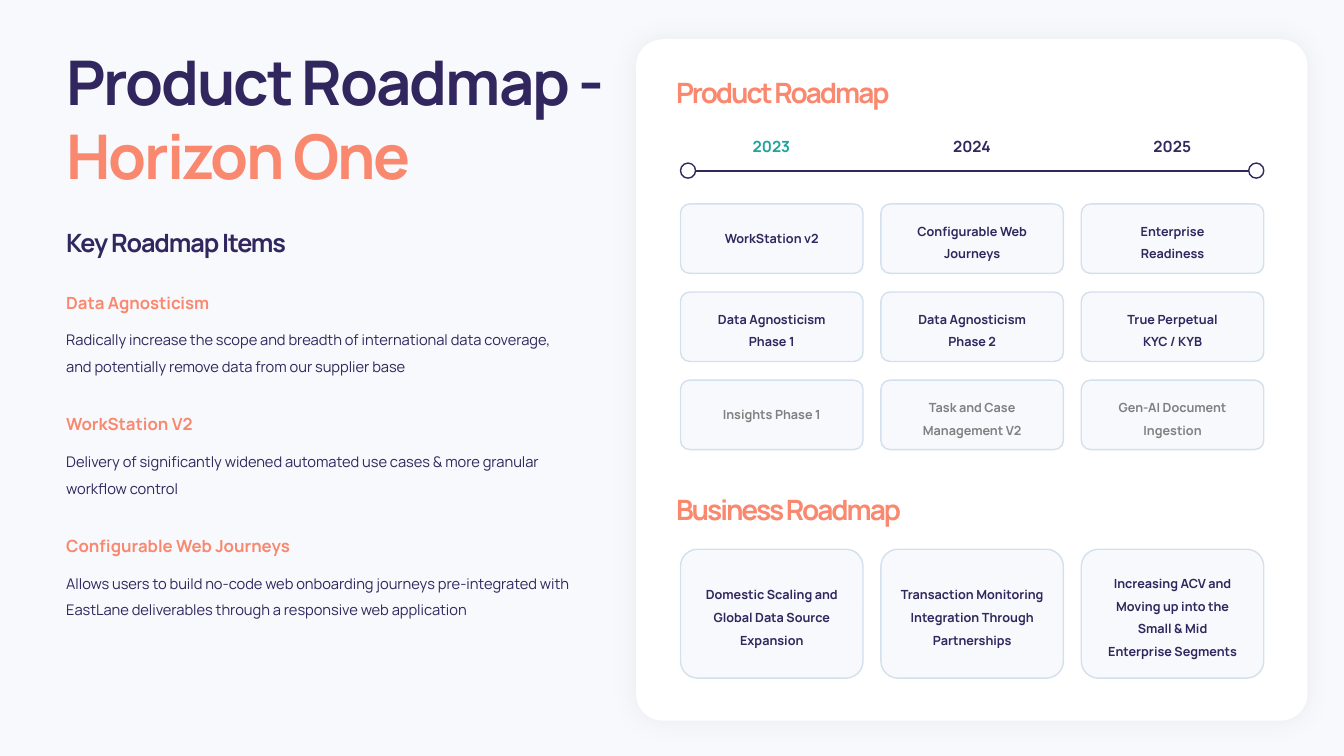
from lxml import etree
from pptx import Presentation
from pptx.dml.color import RGBColor
from pptx.enum.shapes import MSO_CONNECTOR as Connector, MSO_SHAPE as Shape
from pptx.enum.text import MSO_ANCHOR as Anchor, MSO_AUTO_SIZE as AutoSize, PP_ALIGN as Align
from pptx.oxml import parse_xml
from pptx.oxml.ns import nsdecls, qn
from pptx.util import Cm, Pt

FONT = "Manrope"
NAVY = RGBColor(0x31, 0x26, 0x5E)
CORAL = RGBColor(0xF9, 0x88, 0x6F)
TEAL = RGBColor(0x1B, 0xA4, 0x9B)
GREY = RGBColor(0x80, 0x80, 0x80)
PALE = RGBColor(0xF7, 0xF9, 0xFC)
BORDER = RGBColor(0xD3, 0xE0, 0xED)
WHITE = RGBColor(0xFF, 0xFF, 0xFF)

KEY_ITEMS = [
    ("Data Agnosticism", 4.17, 13.41,
     "Radically increase the scope and breadth of international data coverage, "
     "and potentially remove data from our supplier base"),
    ("WorkStation V2", 3.71, 13.23,
     "Delivery of significantly widened automated use cases & more granular workflow control"),
    ("Configurable Web Journeys", 6.25, 13.23,
     "Allows users to build no-code web onboarding journeys pre-integrated with "
     "EastLane deliverables through a responsive web application"),
]
YEARS = [("2023", TEAL), ("2024", NAVY), ("2025", NAVY)]
PRODUCT_ROWS = [
    (NAVY, ["WorkStation v2", "Configurable Web\nJourneys", "Enterprise\nReadiness"]),
    (NAVY, ["Data Agnosticism\nPhase 1", "Data Agnosticism\nPhase 2", "True Perpetual\nKYC / KYB"]),
    (GREY, ["Insights Phase 1", "Task and Case\nManagement V2", "Gen-AI Document\nIngestion"]),
]
BUSINESS_ROW = [
    "Domestic Scaling and\nGlobal Data Source\nExpansion",
    "Transaction Monitoring\nIntegration Through\nPartnerships",
    "Increasing ACV and\nMoving up into the\nSmall & Mid\nEnterprise Segments",
]
CARD_WIDTH, CARD_PITCH = 4.6, 5.05


def format_para(para, size, color, bold=True, spacing=0):
    for span in para.runs:
        span.font.name, span.font.size, span.font.bold = FONT, Pt(size), bold
        span.font.color.rgb = color
        if spacing:
            span._r.get_or_add_rPr().set("spc", str(int(spacing * 100)))


def add_text(page, left, top, width, height, text, size, color, spacing=0, bold=True, wrap=False):
    box = page.shapes.add_textbox(Cm(left), Cm(top), Cm(width), Cm(height))
    frame = box.text_frame
    frame.text = text
    frame.word_wrap = wrap
    frame.auto_size = AutoSize.SHAPE_TO_FIT_TEXT
    for para in frame.paragraphs:
        format_para(para, size, color, bold, spacing)
    return frame


def add_filled(page, kind, left, top, width, height, fill, line=None):
    shape = page.shapes.add_shape(kind, Cm(left), Cm(top), Cm(width), Cm(height))
    shape.shadow.inherit = False
    shape.fill.solid()
    shape.fill.fore_color.rgb = fill
    if line is None:
        shape.line.fill.background()
    else:
        shape.line.color.rgb = line
        shape.line.width = Pt(1)
    return shape


def add_key_items(page, left, top):
    # Title and subtitle
    title = add_text(page, left, top, 14.17, 4.01, "Product Roadmap -\nHorizon One", 44, NAVY, -1.5)
    format_para(title.paragraphs[1], 44, CORAL, spacing=-1.5)
    add_text(page, left, top + 4.62, 6.15, 1.02, "Key Roadmap Items", 18, NAVY, -0.8)
    # Heading and description of each item
    for index, (heading, heading_width, body_width, body) in enumerate(KEY_ITEMS):
        item_top = top + 6.25 + index * 3.07
        add_text(page, left, item_top, heading_width, 0.76, heading, 12, CORAL)
        frame = add_text(page, left, item_top + 0.76, body_width, 1.52, body, 10.5, NAVY,
                         bold=False, wrap=True)
        frame.paragraphs[0].line_spacing = 1.5


def add_panel(page, left, top, width, height):
    panel = add_filled(page, Shape.ROUNDED_RECTANGLE, left, top, width, height, WHITE)
    panel.adjustments[0] = 0.04
    # Soft shadow around the panel
    effects = panel._element.spPr.find(qn("a:effectLst"))
    effects.append(parse_xml(
        f'<a:outerShdw {nsdecls("a")} blurRad="254000" dist="0" algn="ctr" rotWithShape="0">'
        '<a:srgbClr val="000000"><a:alpha val="5000"/></a:srgbClr></a:outerShdw>'))


def add_timeline(page, left, top, width):
    # Years, each centred over its column of cards
    for index, (year, color) in enumerate(YEARS):
        year_left = left + CARD_WIDTH / 2 + index * CARD_PITCH - 0.73
        add_text(page, year_left, top, 1.47, 0.74, year, 11, color)
    # Line with a ring at each end
    middle, ring = top + 0.97, 0.38
    line = page.shapes.add_connector(Connector.STRAIGHT, Cm(left), Cm(middle),
                                     Cm(left + width), Cm(middle))
    line.line.color.rgb = NAVY
    line.line.width = Pt(1.5)
    etree.SubElement(line._element.spPr, qn("a:effectLst"))
    for ring_left in (left, left + width - ring):
        add_filled(page, Shape.OVAL, ring_left, middle - ring / 2, ring, ring, WHITE, NAVY)


def add_card_row(page, left, top, height, labels, color):
    for index, label in enumerate(labels):
        card = add_filled(page, Shape.ROUNDED_RECTANGLE, left + index * CARD_PITCH, top,
                          CARD_WIDTH, height, PALE, BORDER)
        card.adjustments[0] = 0.133
        frame = card.text_frame
        frame.text = label
        frame.vertical_anchor = Anchor.MIDDLE
        for para in frame.paragraphs:
            para.alignment = Align.CENTER
            if len(frame.paragraphs) > 1:
                para.line_spacing = 1.5
            format_para(para, 9, color)


def add_roadmaps(page, left, top, width, height):
    add_panel(page, left, top, width, height)
    grid_left, title_left = left + 1.12, left + 0.76
    # Product roadmap
    add_text(page, title_left, top + 0.79, 5.89, 1.12, "Product Roadmap", 20, CORAL, -1.5)
    add_timeline(page, grid_left, top + 2.34, 2 * CARD_PITCH + CARD_WIDTH)
    for index, (color, labels) in enumerate(PRODUCT_ROWS):
        add_card_row(page, grid_left, top + 4.15 + index * 2.22, 1.75, labels, color)
    # Business roadmap
    add_text(page, title_left, top + 11.3, 6.27, 1.12, "Business Roadmap", 20, CORAL, -1.5)
    add_card_row(page, grid_left, top + 12.85, 3.25, BUSINESS_ROW, NAVY)


def main():
    deck = Presentation()
    deck.slide_width, deck.slide_height = Cm(33.87), Cm(19.05)
    page = deck.slides.add_slide(deck.slide_layouts[6])
    page.background.fill.solid()
    page.background.fill.fore_color.rgb = PALE
    add_key_items(page, 1.42, 0.99)
    add_roadmaps(page, 16.03, 0.99, 16.92, 17.17)
    deck.save("out.pptx")


if __name__ == "__main__":
    main()
